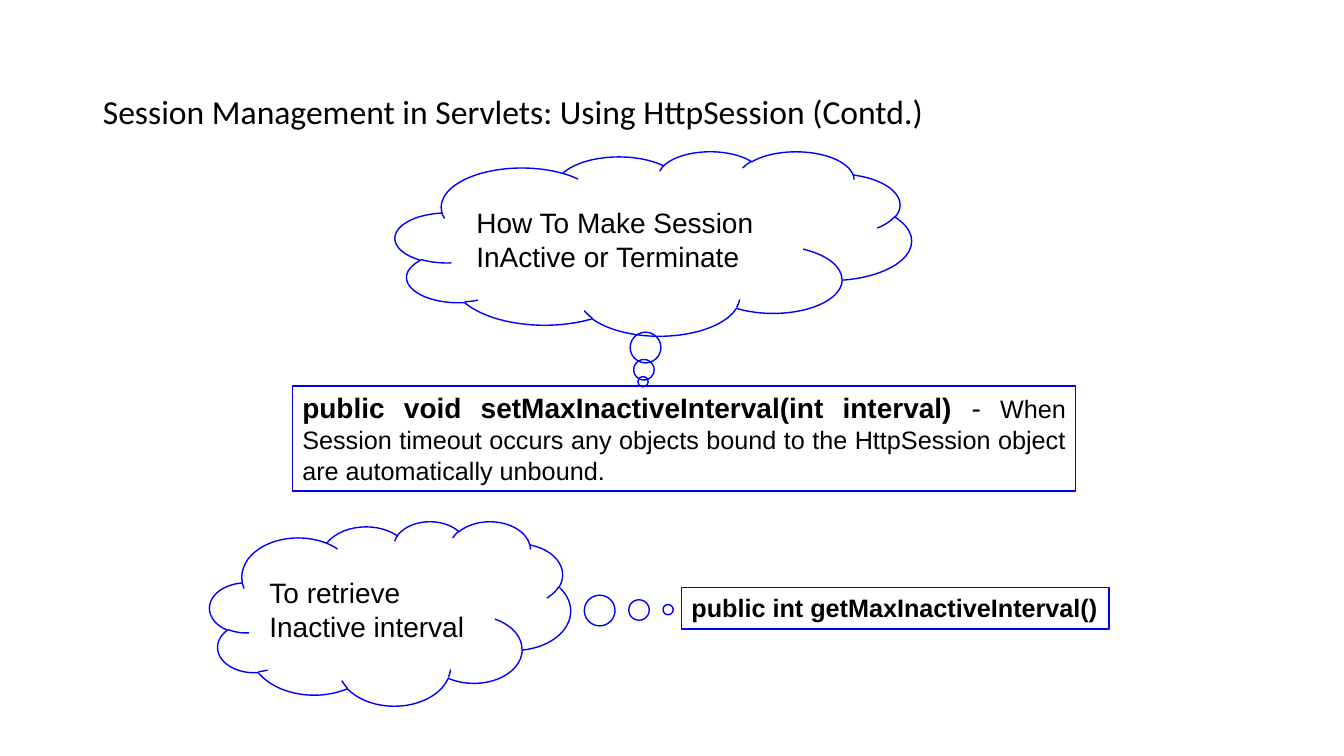
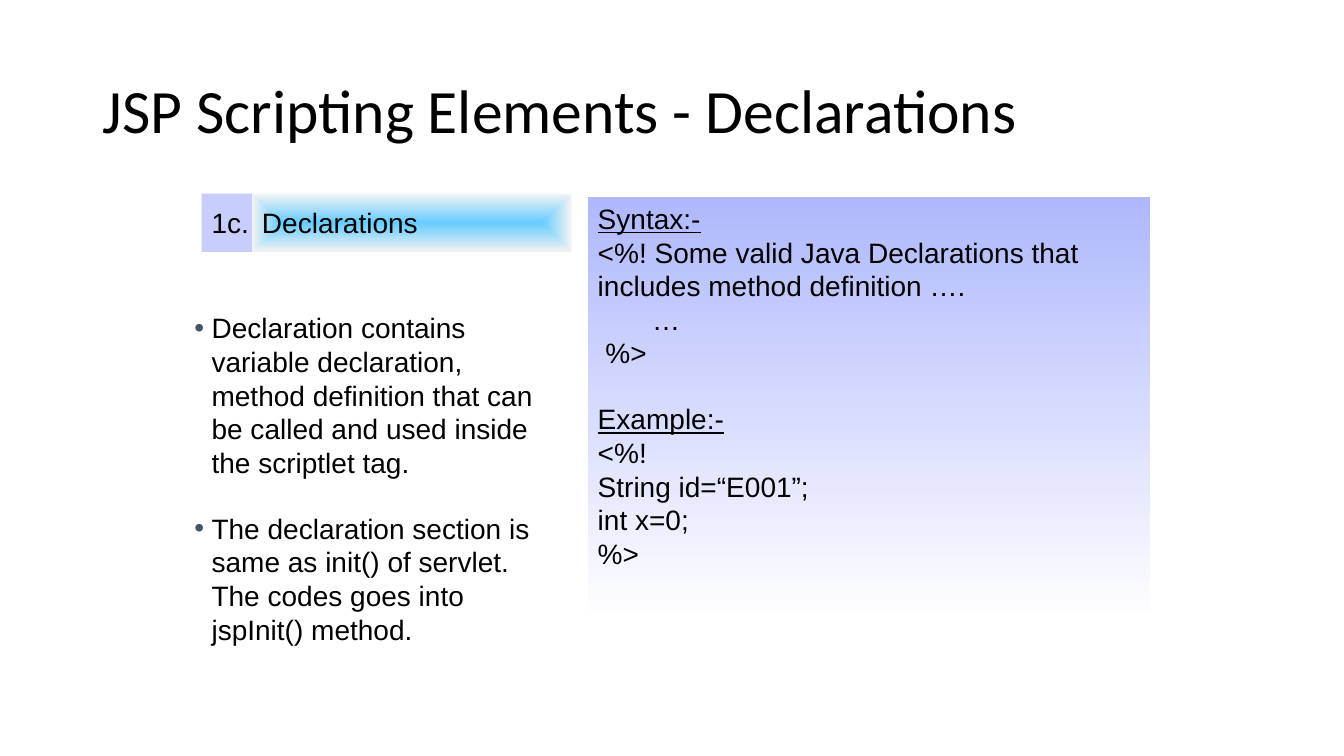
from pptx import Presentation
from pptx.dml.color import RGBColor
from pptx.enum.shapes import MSO_SHAPE as SHAPE
from pptx.enum.text import MSO_ANCHOR as ANCHOR, PP_ALIGN as ALIGN
from pptx.oxml import parse_xml
from pptx.oxml.ns import nsdecls
from pptx.util import Inches, Pt

# Shared style
BLACK, WHITE, BLUE = "000000", "FFFFFF", "0000FF"
BULLET, LILAC = "44546A", "C7CDFD"
BODY_SIZE, NOTE_SIZE = 20, 18
LINE_GAP = 23

# Content: a run is (text, size, style), style being "", "b" or "u"
SESSION_TITLE = "Session Management in Servlets: Using HttpSession (Contd.)"
SET_INTERVAL = [
    ("public void setMaxInactiveInterval(int interval)", BODY_SIZE, "b"),
    (" - ", BODY_SIZE, ""),
    ("When Session timeout occurs any objects bound to the HttpSession "
     "object are automatically unbound.", NOTE_SIZE, ""),
]
GET_INTERVAL = [("public int getMaxInactiveInterval()", NOTE_SIZE, "b")]
CLOUDS = [  # text, position, tail adjustments
    ("How To Make Session InActive or Terminate",
     (3.92, 1.5, 5.12, 1.83), (-0.02, 0.75)),
    ("To retrieve Inactive interval",
     (2.08, 5.17, 3.58, 1.83), (0.77, -0.02)),
]

JSP_TITLE = "JSP Scripting Elements - Declarations"
POINTS = [
    "Declaration contains variable declaration, method definition that can "
    "be called and used inside the scriptlet tag.",
    "The declaration section is same as init() of servlet. "
    "The codes goes into jspInit() method.",
]
LISTINGS = [
    ("Syntax:-", ["<%! Some valid Java Declarations that includes method "
                  "definition ….", "       …", " %>"]),
    ("Example:-", ["<%!", "String id=“E001”;", "int x=0;", "%>"]),
]


def rgb(value):
    return RGBColor.from_string(value)


def plain(text, style=""):
    return [(text, BODY_SIZE, style)]


def set_font(r, name, size, style=""):
    r.font.name = name
    r.font.size = Pt(size)
    r.font.color.rgb = rgb(BLACK)
    r.font.bold = style == "b"
    r.font.underline = style == "u"


def add_title_slide(prs, text, size):
    s = prs.slides.add_slide(prs.slide_layouts[5])
    sp = s.shapes.title
    sp.left, sp.top, sp.width, sp.height = map(Inches, (0.92, 0.4, 11.5, 1.45))
    tf = sp.text_frame
    tf.text = text
    tf.vertical_anchor = ANCHOR.MIDDLE
    p = tf.paragraphs[0]
    p.alignment = ALIGN.LEFT
    p.line_spacing = 0.9
    r = p.runs[0]
    set_font(r, "Calibri", size)
    # Text shadow, placed right after the run's fill
    r.font._element.insert(1, parse_xml(
        f'<a:effectLst {nsdecls("a")}><a:outerShdw blurRad="38100" dist="38100" '
        'dir="2700000" algn="tl"><a:srgbClr val="C0C0C0"/></a:outerShdw></a:effectLst>'))
    return s


def set_gradient(sp, start, end, direction):
    sp.fill.background()
    no_fill = sp._element.spPr.find("{*}noFill")
    no_fill.getparent().replace(no_fill, parse_xml(
        f'<a:gradFill {nsdecls("a")} rotWithShape="1"><a:gsLst>'
        f'<a:gs pos="0"><a:srgbClr val="{start}"/></a:gs>'
        f'<a:gs pos="100000"><a:srgbClr val="{end}"/></a:gs>'
        f'</a:gsLst>{direction}</a:gradFill>'))


def add_box(s, pos, paragraphs, kind=SHAPE.RECTANGLE, fill=None, line=None,
            anchor=ANCHOR.TOP, align=ALIGN.LEFT, right_inset=0.1):
    sp = s.shapes.add_shape(kind, *map(Inches, pos))
    sp.shadow.inherit = False
    if fill:
        sp.fill.solid()
        sp.fill.fore_color.rgb = rgb(fill)
    else:
        sp.fill.background()
    if line:
        sp.line.color.rgb = rgb(line)
        sp.line.width = Pt(1)
    else:
        sp.line.fill.background()
    tf = sp.text_frame
    tf.word_wrap = True
    tf.vertical_anchor = anchor
    tf.margin_right = Inches(right_inset)
    for i, runs in enumerate(paragraphs):
        p = tf.add_paragraph() if i else tf.paragraphs[0]
        p.alignment = align
        for text, size, style in runs:
            r = p.add_run()
            r.text = text
            set_font(r, "Arial", size, style)
    return sp


def add_bullet(p, indent):
    pPr = p._p.get_or_add_pPr()
    pPr.set("marL", str(Inches(indent)))
    pPr.set("indent", str(-Inches(indent)))
    for xml in (f'<a:buClr {nsdecls("a")}><a:srgbClr val="{BULLET}"/></a:buClr>',
                f'<a:buFont {nsdecls("a")} typeface="Arial"/>',
                f'<a:buChar {nsdecls("a")} char="•"/>'):
        pPr.append(parse_xml(xml))


def build_session_slide(prs):
    s = add_title_slide(prs, SESSION_TITLE, 24)
    add_box(s, (2.9, 3.83, 7.77, 1.04), [SET_INTERVAL], fill=WHITE, line=BLUE,
            align=ALIGN.JUSTIFY)
    for text, pos, tail in CLOUDS:
        cloud = add_box(s, pos, [plain(text)], kind=SHAPE.CLOUD_CALLOUT,
                        line=BLUE, anchor=ANCHOR.MIDDLE)
        for i, value in enumerate(tail):
            cloud.adjustments[i] = value
    add_box(s, (6.76, 5.83, 4.24, 0.41), [GET_INTERVAL], line=BLUE, right_inset=0)


def build_declarations_slide(prs):
    s = add_title_slide(prs, JSP_TITLE, 44)

    # Bulleted explanation
    points = add_box(s, (1.83, 2.58, 3.83, 4.33), [plain(t) for t in POINTS],
                     fill=WHITE, anchor=ANCHOR.MIDDLE, right_inset=0.31)
    for i, p in enumerate(points.text_frame.paragraphs):
        if i:
            p.space_before = Pt(LINE_GAP)
        add_bullet(p, 0.17)

    # Code panel
    lines = []
    for heading, code in LISTINGS:
        lines += [plain(heading, "u")] + [plain(t) for t in code]
    panel = add_box(s, (5.83, 1.95, 5.58, 4.21), lines)
    set_gradient(panel, "AFB8FD", WHITE, '<a:lin ang="5400000" scaled="1"/>')
    for p in panel.text_frame.paragraphs[1:]:
        if p.runs[0].font.underline:
            p.space_before = Pt(LINE_GAP)

    # Numbered section label
    label = add_box(s, (2.5, 1.92, 3.17, 0.58), [plain("Declarations")],
                    anchor=ANCHOR.MIDDLE)
    set_gradient(label, "66CCFF", "F3F3F3",
                 '<a:path path="shape"><a:fillToRect l="50000" t="50000" '
                 'r="50000" b="50000"/></a:path>')
    add_box(s, (2, 1.92, 0.5, 0.58), [plain("1c.")], fill=LILAC,
            anchor=ANCHOR.MIDDLE, right_inset=0)


def main():
    prs = Presentation()
    prs.slide_width, prs.slide_height = Inches(13.33), Inches(7.5)
    build_session_slide(prs)
    build_declarations_slide(prs)
    prs.save("out.pptx")


if __name__ == "__main__":
    main()
